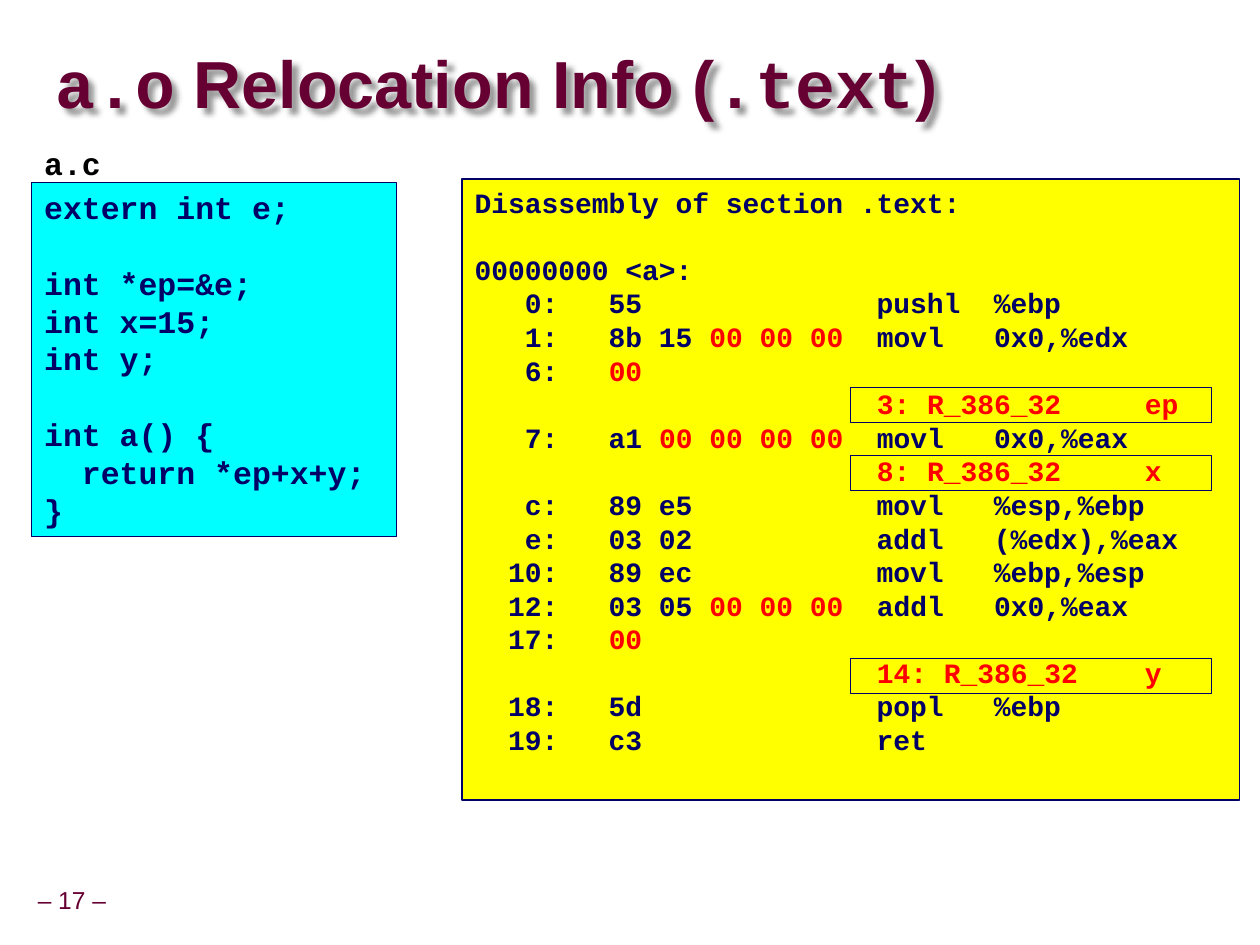
import lxml.etree
import pptx
import pptx.dml.color
import pptx.enum.shapes
import pptx.enum.text
import pptx.oxml.ns
import pptx.util

Cm = pptx.util.Cm
Pt = pptx.util.Pt
RGBColor = pptx.dml.color.RGBColor
MIDDLE = pptx.enum.text.MSO_ANCHOR.MIDDLE

MAROON = RGBColor(0x66, 0x00, 0x33)
NAVY = RGBColor(0x00, 0x00, 0x66)
CYAN = RGBColor(0x00, 0xFF, 0xFF)
YELLOW = RGBColor(0xFF, 0xFF, 0x00)
RED = RGBColor(0xFF, 0x00, 0x00)
BLACK = RGBColor(0x00, 0x00, 0x00)
WHITE = RGBColor(0xFF, 0xFF, 0xFF)

SANS = "Arial"
MONO = "Courier New"
LINE_HEIGHT = 1.2  # single line spacing of the listings, in font sizes

SOURCE_CODE = """extern int e;

int *ep=&e;
int x=15;
int y;

int a() {
  return *ep+x+y;
}"""

# Bars enclose the bytes and entries that relocation concerns.
DISASSEMBLY = """Disassembly of section .text:

00000000 <a>:
   0:   55              pushl  %ebp
   1:   8b 15 |00 00 00|  movl   0x0,%edx
   6:   |00|
                        |3: R_386_32     ep|
   7:   a1 |00 00 00 00|  movl   0x0,%eax
                        |8: R_386_32     x|
   c:   89 e5           movl   %esp,%ebp
   e:   03 02           addl   (%edx),%eax
  10:   89 ec           movl   %ebp,%esp
  12:   03 05 |00 00 00|  addl   0x0,%eax
  17:   |00|
                        |14: R_386_32    y|
  18:   5d              popl   %ebp
  19:   c3              ret"""

RELOCATION_TOPS = (7.8, 9.17, 13.26)


def style(run, font, size, color, bold=True):
    run.font.name = font
    run.font.size = Pt(size)
    run.font.color.rgb = color
    run.font.bold = bold


def add_box(slide, left, top, width, height, line, line_width=0.25, fill=None):
    box = slide.shapes.add_shape(
        pptx.enum.shapes.MSO_SHAPE.RECTANGLE,
        Cm(left), Cm(top), Cm(width), Cm(height))
    box.shadow.inherit = False
    if fill is None:
        box.fill.background()
    else:
        box.fill.solid()
        box.fill.fore_color.rgb = fill
    box.line.color.rgb = line
    box.line.width = Pt(line_width)
    return box


def write_listing(box, listing, size, color=NAVY):
    """Write code lines; parts between bars are red, empty lines become spacing."""
    frame = box.text_frame
    frame.word_wrap = False
    frame.vertical_anchor = pptx.enum.text.MSO_ANCHOR.TOP
    paragraph = frame.paragraphs[0]
    gap = 0
    for number, line in enumerate(listing.split("\n")):
        if not line:
            gap += size * LINE_HEIGHT
            continue
        if number:
            paragraph = frame.add_paragraph()
        paragraph.alignment = pptx.enum.text.PP_ALIGN.LEFT
        paragraph.space_before = Pt(gap)
        gap = 0
        for index, part in enumerate(line.split("|")):
            if part:
                run = paragraph.add_run()
                run.text = part
                style(run, MONO, size, RED if index % 2 else color)


def add_text(slide, left, top, width, height, inset=0):
    box = slide.shapes.add_textbox(Cm(left), Cm(top), Cm(width), Cm(height))
    frame = box.text_frame
    frame.vertical_anchor = MIDDLE
    frame.margin_left = frame.margin_right = Cm(inset)
    frame.margin_top = frame.margin_bottom = Cm(inset)
    return box


def add_soft_shadow(box):
    qn = pptx.oxml.ns.qn
    effects = lxml.etree.SubElement(box.fill._xPr, qn("a:effectLst"))
    shadow = lxml.etree.SubElement(
        effects, qn("a:outerShdw"), blurRad=str(Cm(0.1)), dist=str(Cm(0.14)),
        dir="2700000", algn="tl", rotWithShape="0")
    color = lxml.etree.SubElement(shadow, qn("a:srgbClr"), val="000000")
    lxml.etree.SubElement(color, qn("a:alpha"), val="40000")


def add_title(slide):
    title = add_text(slide, 1.12, 0.69, 24.2, 2.16)
    title.text_frame.word_wrap = True
    paragraph = title.text_frame.paragraphs[0]
    paragraph.line_spacing = 0.87
    for text, font in (("a.o", MONO), (" Relocation Info (", SANS),
                       (".text", MONO), (")", SANS)):
        run = paragraph.add_run()
        run.text = text
        style(run, font, 38, MAROON)
    add_soft_shadow(title)


def add_page_number(slide):
    number = add_text(slide, 0.61, 17.78, 1.68, 0.79, inset=0.13)
    number.text_frame.word_wrap = False
    paragraph = number.text_frame.paragraphs[0]
    paragraph.text = "– 17 –"
    paragraph.alignment = pptx.enum.text.PP_ALIGN.CENTER
    paragraph.line_spacing = 0.9
    style(paragraph.runs[0], SANS, 14, MAROON, bold=False)


def main():
    deck = pptx.Presentation()
    deck.slide_width, deck.slide_height = Cm(25.4), Cm(19.05)
    slide = deck.slides.add_slide(deck.slide_layouts[6])

    add_page_number(slide)
    add_title(slide)

    file_label = add_box(slide, 0.64, 2.77, 1.65, 1.02, WHITE)
    write_listing(file_label, "a.c", 18, BLACK)
    source = add_box(slide, 0.64, 3.67, 7.34, 7.14, NAVY, fill=CYAN)
    write_listing(source, SOURCE_CODE, 18)
    disassembly = add_box(slide, 9.32, 3.61, 15.67, 12.52, NAVY, 1, YELLOW)
    write_listing(disassembly, DISASSEMBLY, 16)

    for top in RELOCATION_TOPS:
        add_box(slide, 17.15, top, 7.26, 0.71, NAVY)

    deck.save("out.pptx")


if __name__ == "__main__":
    main()
